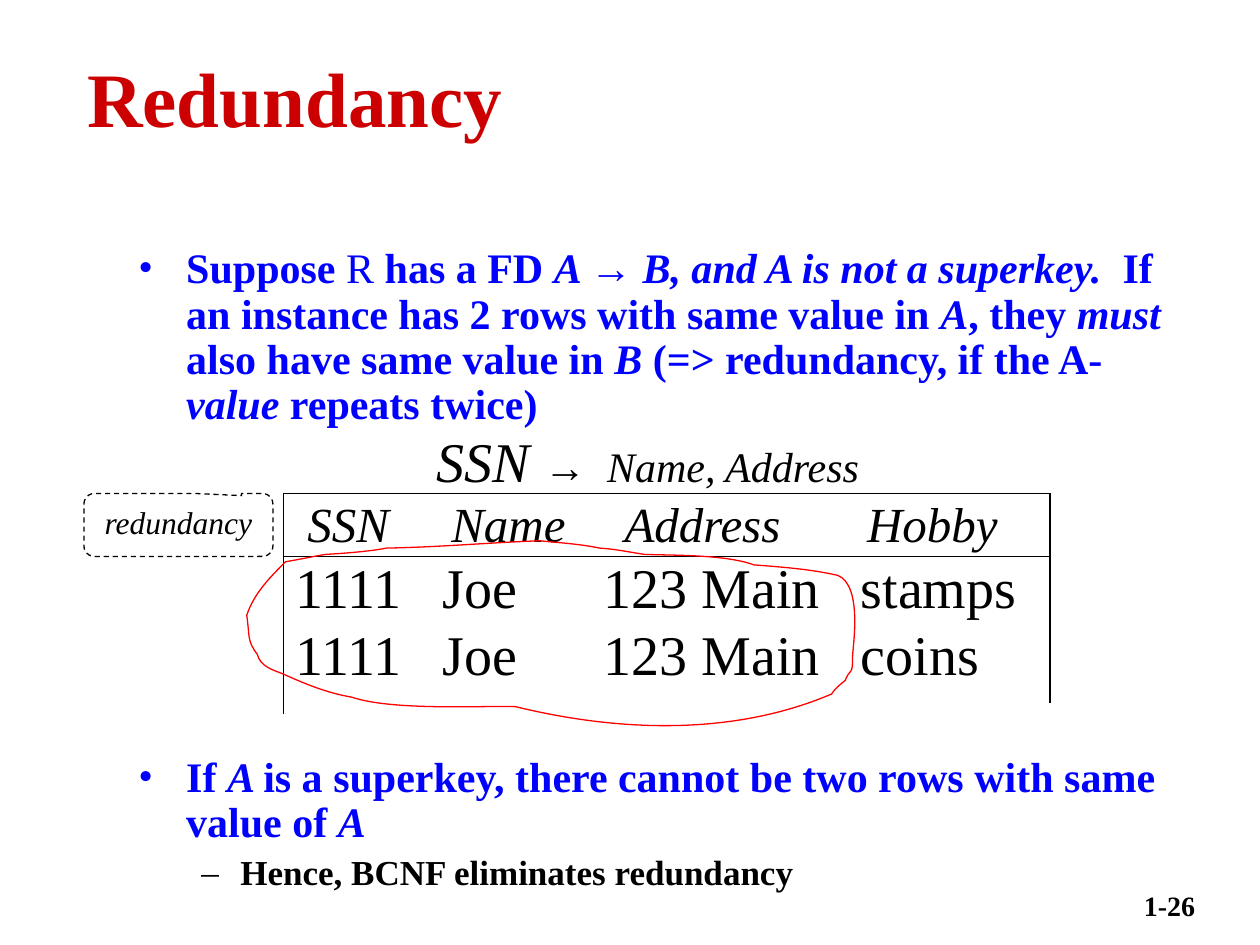
from dataclasses import dataclass

from lxml import etree
from pptx import Presentation
from pptx import util as u
from pptx.dml.color import RGBColor
from pptx.enum import dml, shapes, text
from pptx.oxml.ns import qn

CELL = u.Inches(10) / 120  # the slide is a grid of 120 columns by 90 rows


@dataclass(frozen=True)
class Theme:
    face: str = "Times New Roman"
    sign: str = "Arial"
    red: str = "CC0000"
    blue: str = "0000FF"
    black: str = "000000"
    mark: str = "FF0000"
    title: int = 44
    data: int = 32
    head: int = 28
    body: int = 24
    sub: int = 20
    note: int = 18
    page: int = 16
    rule: float = 0.75


T = Theme()
BOLD, PLAIN = {"bold": True}, {"bold": False}
ITAL = {"italic": True}
SIGN = {"name": T.sign, "italic": False}
SMALL = {"size": u.Pt(T.body)}

BODY = [  # bullet sign, level, space before, runs with their differences
    ("•", 0, 0, [
        ("Suppose ", {}), ("R", PLAIN), (" has a FD ", {}), ("A ", ITAL),
        ("→", SIGN), (" B, and A is not a superkey.  ", ITAL),
        ("If an instance has 2 rows with same value in ", {}), ("A", ITAL),
        (", they ", {}), ("must ", ITAL), ("also have same value in ", {}),
        ("B", ITAL), (" (=> redundancy, if the A-", {}), ("value", ITAL),
        (" repeats twice)", {})]),
    ("•", 0, 187, [
        ("If ", {}), ("A ", ITAL),
        ("is a superkey, there cannot be two rows with same value of ", {}),
        ("A", ITAL)]),
    ("–", 1, 5, [("Hence, BCNF eliminates redundancy", {})]),
]

HEAD = [1.1, 14.8, 31.3, 54.4]  # tab stops of the header
COLS = [14, 29.3, 53.8]  # tab stops of the data rows
ROWS = [  # size, tab stops, runs
    (T.data, [13.4], [("\tSSN ", ITAL), ("→", SIGN | SMALL),
                      ("  Name, Address", ITAL | SMALL)]),
    (T.head, HEAD, [("\tSSN\tName\tAddress\tHobby", ITAL)]),
    (T.data, COLS, [("1111\tJoe\t123 Main\tstamps", {})]),
    (T.data, COLS, [("1111\tJoe\t123 Main\tcoins", {})]),
]

# Hand-drawn loop: a start, then two controls and an end for each curve
START = (79.8, 54.8)
CURVES = [
    (77.2, 54.2, 74.4, 54, 71.8, 53.8), (69.1, 52.8, 64.1, 52.9, 61.4, 52.8),
    (60, 52.6, 58.7, 52.3, 57.1, 52.2), (55.2, 51.8, 53.3, 51.7, 51.4, 51.5),
    (46.2, 51.7, 42, 52.1, 36.8, 52.2), (34.9, 52.6, 31, 52.8, 31, 52.8),
    (29.8, 53, 28.4, 53.3, 27.2, 53.5), (25.7, 55, 24.2, 56.5, 23.5, 58.6),
    (23.8, 60.6, 23.5, 61, 24.5, 62.3), (24.8, 63.5, 26, 63.8, 27, 64.2),
    (29.2, 65.2, 31.2, 66, 33.5, 66.4), (37.4, 67.7, 45.7, 67.2, 49.1, 67.3),
    (58.9, 69.7, 69.8, 70.1, 79.2, 66.1), (79.6, 65.5, 79.9, 65.3, 80.5, 64.8),
    (80.6, 64.7, 80.6, 64.4, 80.8, 64.2), (80.8, 64.1, 81, 64.1, 81.1, 63.8),
    (81.2, 63.5, 81.2, 63, 81.2, 62.5), (81.2, 61.7, 82.2, 55.8, *START),
]


def grid(*cells):
    return [u.Emu(round(n * CELL)) for n in cells]


def apply(item, values):
    for key, value in values.items():
        setattr(item, key, value)


def write(para, runs, size, color=T.black, **base):
    for words, style in runs:
        run = para.add_run()
        run.text = words
        apply(run.font, {"name": T.face, "size": u.Pt(size)} | base | style)
        run.font.color.rgb = RGBColor.from_string(color)


def box(slide, *area):
    frame = slide.shapes.add_textbox(*grid(*area)).text_frame
    frame.word_wrap = True
    return frame


def lines(frame, items):
    for n, item in enumerate(items):
        yield frame.add_paragraph() if n else frame.paragraphs[0], item


def stroke(line, color=T.black):
    line.color.rgb = RGBColor.from_string(color)
    line.width = u.Pt(T.rule)


def title(slide, words):
    shape = slide.shapes.title
    apply(shape, dict(zip(("left", "top", "width", "height"),
                          grid(7.1, 7, 106.9, 4.5))))
    frame = shape.text_frame
    apply(frame, {"auto_size": text.MSO_AUTO_SIZE.NONE, "word_wrap": True,
                  "vertical_anchor": text.MSO_ANCHOR.MIDDLE})
    frame.paragraphs[0].alignment = text.PP_ALIGN.LEFT
    write(frame.paragraphs[0], [(words, {})], T.title, T.red, **BOLD)


def bullets(slide, *area):
    looks = [(T.body, T.blue, 0.38, 0.38), (T.sub, T.black, 0.81, 0.31)]
    for para, (sign, level, gap, runs) in lines(box(slide, *area), BODY):
        size, color, left, hang = looks[level]
        apply(para, {"level": level, "line_spacing": 0.9})
        if gap:
            para.space_before = u.Pt(gap)
        props = para._p.get_or_add_pPr()
        props.set("marL", str(u.Inches(left)))
        props.set("indent", str(-u.Inches(hang)))
        tint = etree.SubElement(props, qn("a:buClr"))
        etree.SubElement(tint, qn("a:srgbClr"), val=color)
        etree.SubElement(props, qn("a:buFont"), typeface=T.face)
        etree.SubElement(props, qn("a:buChar"), char=sign)
        write(para, runs, size, color, **BOLD)


def relation(slide, *area):
    frame = box(slide, *area)
    frame.auto_size = text.MSO_AUTO_SIZE.SHAPE_TO_FIT_TEXT
    for para, (size, stops, runs) in lines(frame, ROWS):
        tabs = etree.SubElement(para._p.get_or_add_pPr(), qn("a:tabLst"))
        for stop in grid(*stops):
            etree.SubElement(tabs, qn("a:tab"), pos=str(stop), algn="l")
        write(para, runs, size)


def rule(slide, *ends):
    line = slide.shapes.add_connector(shapes.MSO_CONNECTOR.STRAIGHT, *grid(*ends))
    stroke(line.line)
    etree.SubElement(line._element.spPr, qn("a:effectLst"))


def loop(slide):
    pen = slide.shapes.build_freeform(*grid(*START))
    pen.add_line_segments([grid(*curve[n:n + 2]) for curve in CURVES
                           for n in (0, 2, 4)], close=True)
    shape = pen.convert_to_shape()
    # Join each three points into one curve
    legs = list(shape._element.iter(qn("a:lnTo")))[:3 * len(CURVES)]
    for first, *rest in zip(legs[::3], legs[1::3], legs[2::3]):
        bend = etree.Element(qn("a:cubicBezTo"))
        first.addprevious(bend)
        for leg in (first, *rest):
            bend.append(leg[0])
            leg.getparent().remove(leg)
    shape.shadow.inherit = False
    shape.fill.background()
    stroke(shape.line, T.mark)


def callout(slide, words, *area):
    kind = shapes.MSO_SHAPE.ROUNDED_RECTANGULAR_CALLOUT
    shape = slide.shapes.add_shape(kind, *grid(*area))
    for n, value in enumerate((0.334, -0.465, 0.167)):
        shape.adjustments[n] = value
    shape.shadow.inherit = False
    shape.fill.background()
    stroke(shape.line)
    shape.line.dash_style = dml.MSO_LINE.DASH
    frame = shape.text_frame
    frame.vertical_anchor = text.MSO_ANCHOR.TOP
    frame.paragraphs[0].alignment = text.PP_ALIGN.CENTER
    write(frame.paragraphs[0], [(words, {})], T.note, **ITAL)


def main():
    deck = Presentation()
    deck.slide_width, deck.slide_height = grid(120, 90)
    slide = deck.slides.add_slide(deck.slide_layouts[5])
    # Page number
    para = box(slide, 103.5, 84, 11.5, 6).paragraphs[0]
    para.alignment = text.PP_ALIGN.RIGHT
    write(para, [("1-26", {})], T.page, **BOLD)
    # Title and statements
    title(slide, "Redundancy")
    bullets(slide, 12, 23, 103, 67)
    # Relation with its open frame
    relation(slide, 27, 40, 71.6, 26)
    for ends in ((27, 47, 100, 47), (27, 53, 100, 53),
                 (27, 47, 27, 68), (100, 47, 100, 67)):
        rule(slide, *ends)
    # Marks on the repeated values
    loop(slide)
    callout(slide, "redundancy", 8, 47, 18, 6)
    deck.save("out.pptx")


if __name__ == "__main__":
    main()
